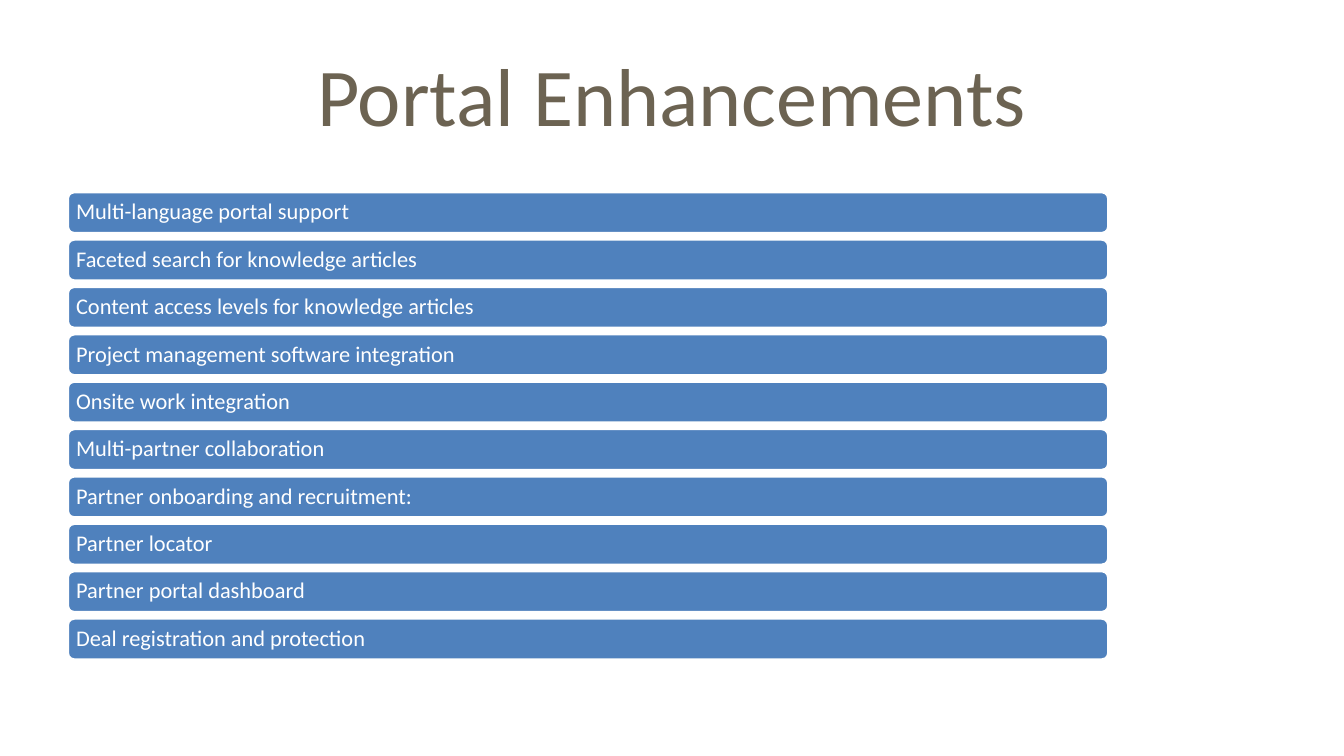
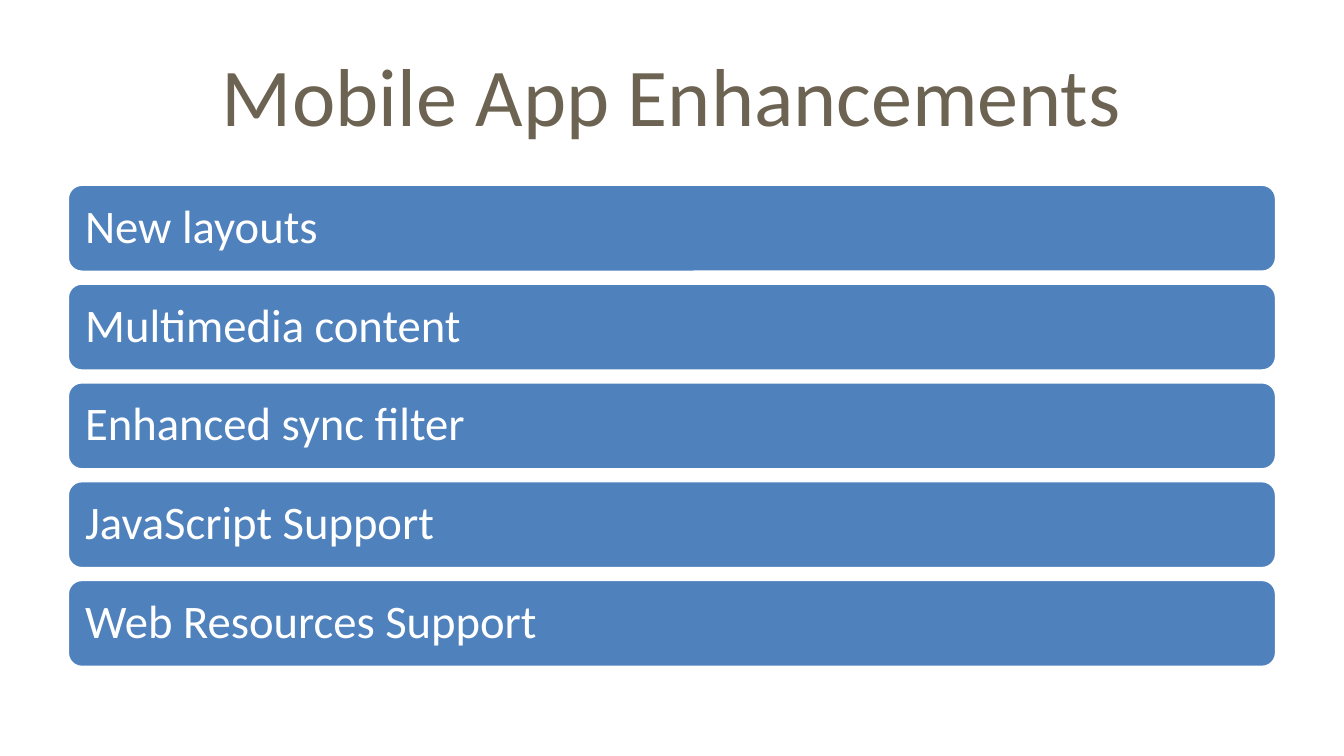
from dataclasses import dataclass

import pptx
import pptx.dml.color
import pptx.enum.shapes
import pptx.enum.text
import pptx.slide
import pptx.util
from pptx.util import Cm, Pt


@dataclass(frozen=True)
class Theme:
    font: str = "Calibri"
    title_color: str = "6C6352"
    bar_color: str = "4F81BD"
    light: str = "FFFFFF"
    title_size: int = 44
    compact_size: int = 12
    large_size: int = 25
    outline: int = 2


@dataclass(frozen=True)
class BarStack:
    top: float
    bottom: float
    width: float
    bar_height: float
    inset: float
    text_size: int
    labels: tuple[str, ...]

    def bar_top(self, index: int) -> float:
        pitch = (self.bottom - self.top - self.bar_height) / (len(self.labels) - 1)
        return self.top + index * pitch


@dataclass(frozen=True)
class Topic:
    title: str
    stack: BarStack


THEME = Theme()
LEFT = 1.27
CONTENT_WIDTH = 22.86
TITLE_ONLY_LAYOUT = 5

TOPICS = (
    Topic(
        "Portal Enhancements",
        BarStack(
            top=3.62, bottom=12.48, width=19.69, bar_height=0.8,
            inset=0.13, text_size=THEME.compact_size,
            labels=(
                "Multi-language portal support",
                "Faceted search for knowledge articles",
                "Content access levels for knowledge articles",
                "Project management software integration",
                "Onsite work integration",
                "Multi-partner collaboration",
                "Partner onboarding and recruitment:",
                "Partner locator",
                "Partner portal dashboard",
                "Deal registration and protection",
            ),
        ),
    ),
    Topic(
        "Mobile App Enhancements",
        BarStack(
            top=3.48, bottom=12.62, width=CONTENT_WIDTH, bar_height=1.67,
            inset=0.26, text_size=THEME.large_size,
            labels=(
                "New layouts",
                "Multimedia content",
                "Enhanced sync filter",
                "JavaScript Support",
                "Web Resources Support",
            ),
        ),
    ),
)


def rgb(value: str) -> pptx.dml.color.RGBColor:
    return pptx.dml.color.RGBColor.from_string(value)


def write_text(
    frame: pptx.text.text.TextFrame,
    text: str,
    size: int,
    color: str,
    alignment: pptx.enum.text.PP_ALIGN,
) -> None:
    frame.text = text
    frame.word_wrap = True
    frame.vertical_anchor = pptx.enum.text.MSO_ANCHOR.MIDDLE
    para = frame.paragraphs[0]
    para.alignment = alignment
    para.font.name = THEME.font
    para.font.size = Pt(size)
    para.font.color.rgb = rgb(color)


def draw_title(page: pptx.slide.Slide, text: str) -> None:
    title = page.shapes.title
    title.left, title.top = Cm(LEFT), Cm(0.58)
    title.width, title.height = Cm(CONTENT_WIDTH), Cm(2.38)
    write_text(title.text_frame, text, THEME.title_size, THEME.title_color,
               pptx.enum.text.PP_ALIGN.CENTER)


def draw_bars(page: pptx.slide.Slide, stack: BarStack) -> None:
    for index, label in enumerate(stack.labels):
        bar = page.shapes.add_shape(
            pptx.enum.shapes.MSO_SHAPE.ROUNDED_RECTANGLE,
            Cm(LEFT), Cm(stack.bar_top(index)), Cm(stack.width), Cm(stack.bar_height),
        )
        bar.shadow.inherit = False
        bar.fill.solid()
        bar.fill.fore_color.rgb = rgb(THEME.bar_color)
        bar.line.color.rgb = rgb(THEME.light)
        bar.line.width = Pt(THEME.outline)
        frame = bar.text_frame
        frame.margin_left = frame.margin_right = Cm(stack.inset)
        frame.margin_top = frame.margin_bottom = Cm(stack.inset)
        write_text(frame, label, stack.text_size, THEME.light,
                   pptx.enum.text.PP_ALIGN.LEFT)
        frame.paragraphs[0].line_spacing = 0.9


def main() -> None:
    deck = pptx.Presentation()
    deck.slide_width, deck.slide_height = Cm(25.4), Cm(14.29)
    for topic in TOPICS:
        page = deck.slides.add_slide(deck.slide_layouts[TITLE_ONLY_LAYOUT])
        draw_title(page, topic.title)
        draw_bars(page, topic.stack)
    deck.save("out.pptx")


if __name__ == "__main__":
    main()
